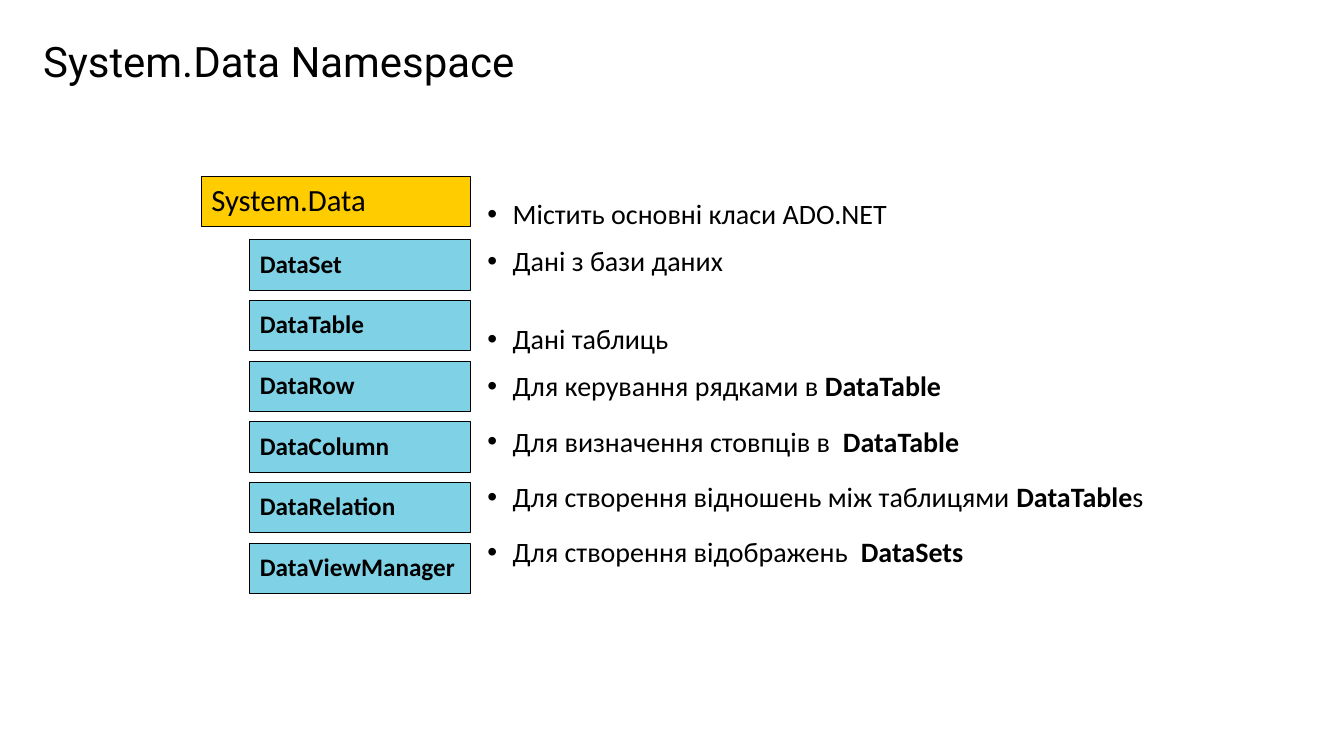
from lxml import etree
from pptx import Presentation
from pptx.dml.color import RGBColor
from pptx.enum.shapes import MSO_SHAPE
from pptx.enum.text import MSO_ANCHOR, PP_ALIGN
from pptx.oxml.ns import qn
from pptx.util import Inches, Pt

RECTANGLE = MSO_SHAPE.RECTANGLE
MIDDLE = MSO_ANCHOR.MIDDLE
LEFT = PP_ALIGN.LEFT
BLACK = RGBColor(0x00, 0x00, 0x00)
GOLD = RGBColor(0xFF, 0xCC, 0x00)
TEAL = RGBColor(0x00, 0xA6, 0xCE)

SLIDE_WIDTH, SLIDE_HEIGHT = 13.34, 7.5
BOX_HEIGHT = 0.5
CLASS_INDENT = 0.48
FIRST_CLASS = 0.63
CLASS_PITCH = 0.602
BULLET_INDENT = 0.25

NAMESPACE = "System.Data"
CLASSES = ["DataSet", "DataTable", "DataRow", "DataColumn", "DataRelation", "DataViewManager"]
DESCRIPTIONS = [
    (12, ["Містить основні класи ADO.NET"]),
    (12, ["Дані з бази даних"]),
    (34, ["Дані таблиць"]),
    (12, ["Для керування рядками в ", "DataTable"]),
    (18, ["Для визначення стовпців в  ", "DataTable"]),
    (18, ["Для створення відношень між таблицями ", "DataTable", "s"]),
    (18, ["Для створення відображень  ", "DataSets"]),
]


def style_span(span, size, font="Calibri", bold=False):
    """Format one run of text."""
    span.font.name = font
    span.font.size = Pt(size)
    span.font.bold = bold
    span.font.color.rgb = BLACK


def add_title(page, left, top, width, height):
    """Place the slide title in the given box."""
    box = page.shapes.add_textbox(Inches(left), Inches(top), Inches(width), Inches(height))
    box.text_frame.word_wrap = True
    box.text_frame.text = "System.Data Namespace"
    para = box.text_frame.paragraphs[0]
    para.line_spacing = 0.9
    style_span(para.runs[0], 30, "Roboto")


def add_label(page, text, left, top, width, color, size, bold):
    """Draw one outlined, filled name box and return it."""
    box = page.shapes.add_shape(
        RECTANGLE, Inches(left), Inches(top), Inches(width), Inches(BOX_HEIGHT))
    box.shadow.inherit = False
    box.fill.solid()
    box.fill.fore_color.rgb = color
    box.line.color.rgb = BLACK
    box.line.width = Pt(0.75)
    frame = box.text_frame
    frame.word_wrap = True
    frame.margin_right = 0
    frame.vertical_anchor = MIDDLE
    frame.text = text
    para = frame.paragraphs[0]
    para.alignment = LEFT
    para.line_spacing = 0.9
    style_span(para.runs[0], size, bold=bold)
    return box


def add_class_tree(page, left, top, width):
    """Draw the namespace box with its classes indented below it."""
    add_label(page, NAMESPACE, left, top, width, GOLD, 22, False)
    for row, name in enumerate(CLASSES):
        box = add_label(page, name, left + CLASS_INDENT, top + FIRST_CLASS + row * CLASS_PITCH,
                        width - CLASS_INDENT, TEAL, 18, True)
        color = box.fill._xPr.find(qn("a:solidFill"))[0]
        etree.SubElement(color, qn("a:alpha"), val="50000")


def add_bullet(para):
    """Give a paragraph a hanging black bullet."""
    properties = para._p.get_or_add_pPr()
    properties.set("marL", str(Inches(BULLET_INDENT)))
    properties.set("indent", str(-Inches(BULLET_INDENT)))
    color = etree.SubElement(properties, qn("a:buClr"))
    etree.SubElement(color, qn("a:srgbClr"), val=str(BLACK))
    etree.SubElement(properties, qn("a:buFont"), typeface="Arial")
    etree.SubElement(properties, qn("a:buChar"), char="•")


def add_descriptions(page, left, top, width, height):
    """Write the bulleted descriptions, with class names in bold."""
    box = page.shapes.add_textbox(Inches(left), Inches(top), Inches(width), Inches(height))
    frame = box.text_frame
    frame.word_wrap = True
    for row, (space, parts) in enumerate(DESCRIPTIONS):
        para = frame.add_paragraph() if row else frame.paragraphs[0]
        para.line_spacing = 0.9
        para.space_before = Pt(space)
        add_bullet(para)
        for position, part in enumerate(parts):
            span = para.add_run()
            span.text = part
            style_span(span, 20, bold=position == 1)


def main():
    """Build and save the deck."""
    deck = Presentation()
    deck.slide_width = Inches(SLIDE_WIDTH)
    deck.slide_height = Inches(SLIDE_HEIGHT)
    page = deck.slides.add_slide(deck.slide_layouts[6])
    add_title(page, 0.33, 0.36, 6, 1.25)
    add_descriptions(page, 4.74, 1.94, 6.92, 5.5)
    add_class_tree(page, 2, 1.75, 2.67)
    deck.save("out.pptx")


if __name__ == "__main__":
    main()
